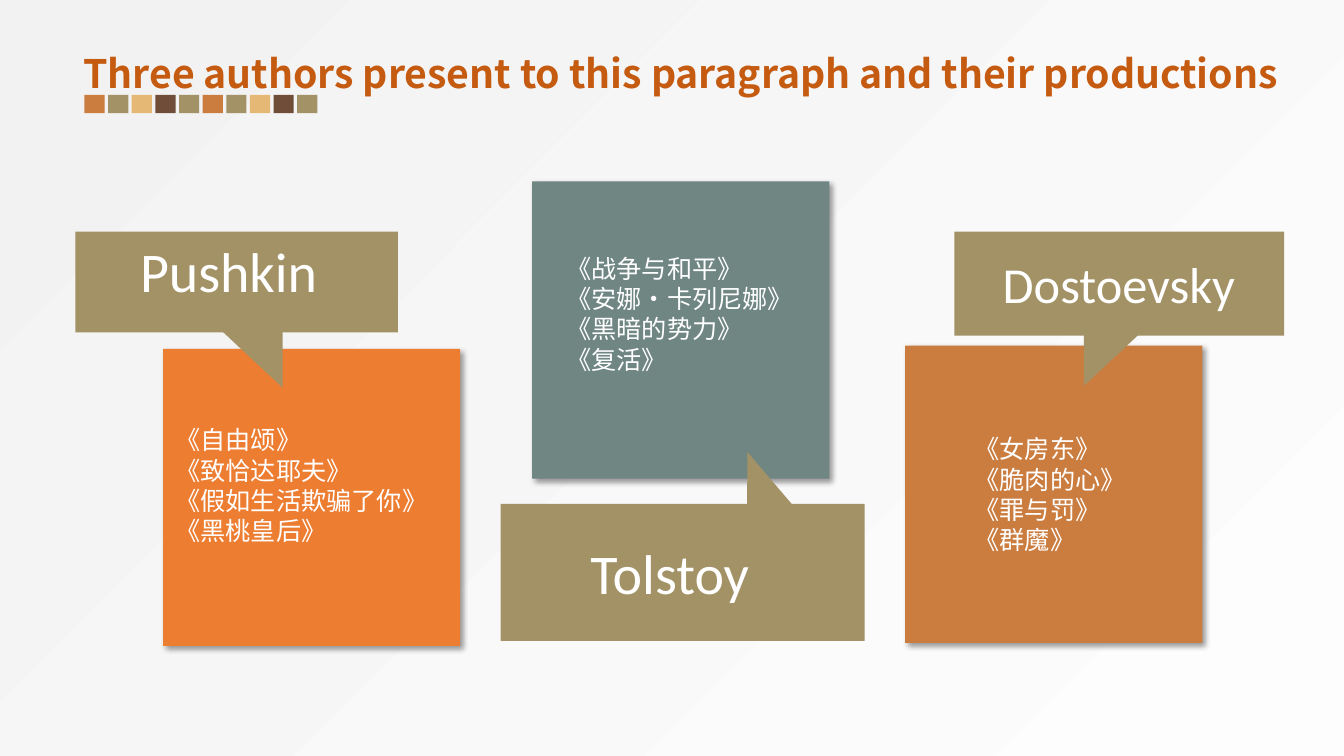
from lxml.etree import SubElement
from pptx import Presentation
from pptx.dml.color import RGBColor
from pptx.enum.shapes import MSO_SHAPE
from pptx.enum.text import MSO_ANCHOR, MSO_AUTO_SIZE, PP_ALIGN
from pptx.oxml import parse_xml
from pptx.oxml.ns import nsdecls, qn
from pptx.util import Cm, Pt


class Theme:
    clay, olive, sand, bark = "CB7D40", "A29266", "E6B875", "6F4D39"
    orange, teal, rust, white = "ED7D31", "6F8683", "C55A11", "FFFFFF"
    light, dim = "FDFDFD", "F2F2F2"
    latin, han = "Calibri", "Noto Sans CJK SC"
    head, name, long, item = 28, 40, 36, 18


def write(frame, text, font, size, color, bold=False, lead=None,
          pad=(0.25, 0.13, 0.25, 0.13), anchor=MSO_ANCHOR.TOP, wrap=True):
    """Fill a text frame, one paragraph per line of text."""
    frame.auto_size = MSO_AUTO_SIZE.NONE
    frame.word_wrap = wrap
    frame.vertical_anchor = anchor
    frame.margin_left, frame.margin_top, frame.margin_right, frame.margin_bottom = map(Cm, pad)
    for i, line in enumerate(text.split("\n")):
        para = frame.paragraphs[0] if i == 0 else frame.add_paragraph()
        para.alignment = PP_ALIGN.LEFT
        para.space_before = para.space_after = Pt(0)
        para.line_spacing = Pt(lead) if lead else 1.0
        props = para._p.get_or_add_pPr()
        props.set("marL", "0")
        props.set("indent", "0")
        SubElement(props, qn("a:buNone"))
        run = para.add_run()
        run.text = line
        run.font.size, run.font.bold, run.font.name = Pt(size), bold, font
        run.font.color.rgb = RGBColor.from_string(color)
        SubElement(run._r.get_or_add_rPr(), qn("a:ea"), typeface=font)


class Board:
    def __init__(self, deck, theme):
        self.theme = theme
        self.slide = deck.slides.add_slide(deck.slide_layouts[4])
        self.shapes = self.slide.shapes
        self.slots = list(self.slide.placeholders)

    def back(self):
        stops = "".join(f'<a:gs pos="{pos}"><a:srgbClr val="{color}"/></a:gs>'
                        for pos, color in ((0, self.theme.light), (100000, self.theme.dim)))
        self.slide._element.cSld.insert(0, parse_xml(
            f'<p:bg {nsdecls("p", "a")}><p:bgPr><a:gradFill rotWithShape="1">'
            f'<a:gsLst>{stops}</a:gsLst><a:path path="circle">'
            '<a:fillToRect l="100000" t="100000"/></a:path></a:gradFill>'
            '<a:effectLst/></p:bgPr></p:bg>'))

    def block(self, box, color, kind=MSO_SHAPE.RECTANGLE, turn=0):
        shape = self.shapes.add_shape(kind, *map(Cm, box))
        shape.shadow.inherit = False
        shape.fill.solid()
        shape.fill.fore_color.rgb = RGBColor.from_string(color)
        shape.line.fill.background()
        shape.rotation = turn
        return shape

    def card(self, left, top, color):
        shape = self.block((left, top, 7.49, 7.49), color)
        glow = shape._element.spPr.find(qn("a:effectLst"))
        glow.append(parse_xml(
            f'<a:outerShdw {nsdecls("a")} blurRad="{Pt(4)}" dist="{Pt(3)}" dir="2700000" '
            'algn="tl" rotWithShape="0"><a:srgbClr val="000000"><a:alpha val="40000"/>'
            '</a:srgbClr></a:outerShdw>'))

    def label(self, text, box, tail, turn, size, inset, base=0.18):
        shape = self.block(box, self.theme.olive)
        write(shape.text_frame, text, self.theme.latin, size, self.theme.white,
              pad=(inset, 0.18, 0.35, base), anchor=MSO_ANCHOR.MIDDLE)
        self.block(tail, self.theme.olive, MSO_SHAPE.ISOSCELES_TRIANGLE, turn)

    def fill(self, text, box, **form):
        """Place the next free placeholder on top and write in it."""
        slot = self.slots.pop(0)
        slot.left, slot.top, slot.width, slot.height = map(Cm, box)
        self.shapes._spTree.append(slot._element)
        write(slot.text_frame, text, self.theme.han, **form)

    def strip(self, colors, left, top, span):
        step = span / (len(colors) - 1)
        for i, color in enumerate(colors):
            self.block((left + i * step, top, 0.51, 0.46), color)

    def clean(self):
        for slot in self.slots:
            self.shapes._spTree.remove(slot._element)


def main():
    deck = Presentation()
    deck.slide_width, deck.slide_height = Cm(33.87), Cm(19.05)
    look = Theme()
    board = Board(deck, look)
    board.back()

    # Cards
    board.card(4.11, 8.79, look.orange)
    board.card(22.81, 8.71, look.clay)
    board.card(13.41, 4.57, look.teal)

    # Author labels with pointers
    board.label("Tolstoy", (12.62, 12.7, 9.17, 3.45), (18.44, 11.33, 1.47, 1.98),
                339.9, look.name, 2.26)
    board.label("Pushkin", (1.9, 5.84, 8.13, 2.54), (5.92, 7.95, 1.65, 1.9),
                156.5, look.name, 1.63, base=0.78)
    board.label("Dostoevsky", (24.05, 5.84, 8.31, 2.62), (26.87, 7.9, 1.65, 1.9),
                203.5, look.long, 1.22)

    # Title
    board.fill("Three authors present to this paragraph and their productions",
               (1.85, 1.04, 30.94, 1.45), size=look.head, color=look.rust,
               bold=True, lead=36, wrap=False)

    # Works of each author
    works = (
        ("《自由颂》\n《致恰达耶夫》\n《假如生活欺骗了你》\n《黑桃皇后》", (4.17, 10.57, 7.44, 3.33)),
        ("《战争与和平》\n《安娜·卡列尼娜》\n《黑暗的势力》\n《复活》", (14.02, 6.25, 6.27, 3.33)),
        ("《女房东》\n《脆肉的心》\n《罪与罚》\n《群魔》", (24.31, 10.8, 4.37, 3.33)),
    )
    for text, box in works:
        board.fill(text, box, size=look.item, color=look.white, lead=21.6)

    # Colour strip under the title
    board.strip([look.clay, look.olive, look.sand, look.bark, look.olive] * 2, 2.13, 2.39, 5.36)
    board.clean()
    deck.save("out.pptx")


if __name__ == "__main__":
    main()
